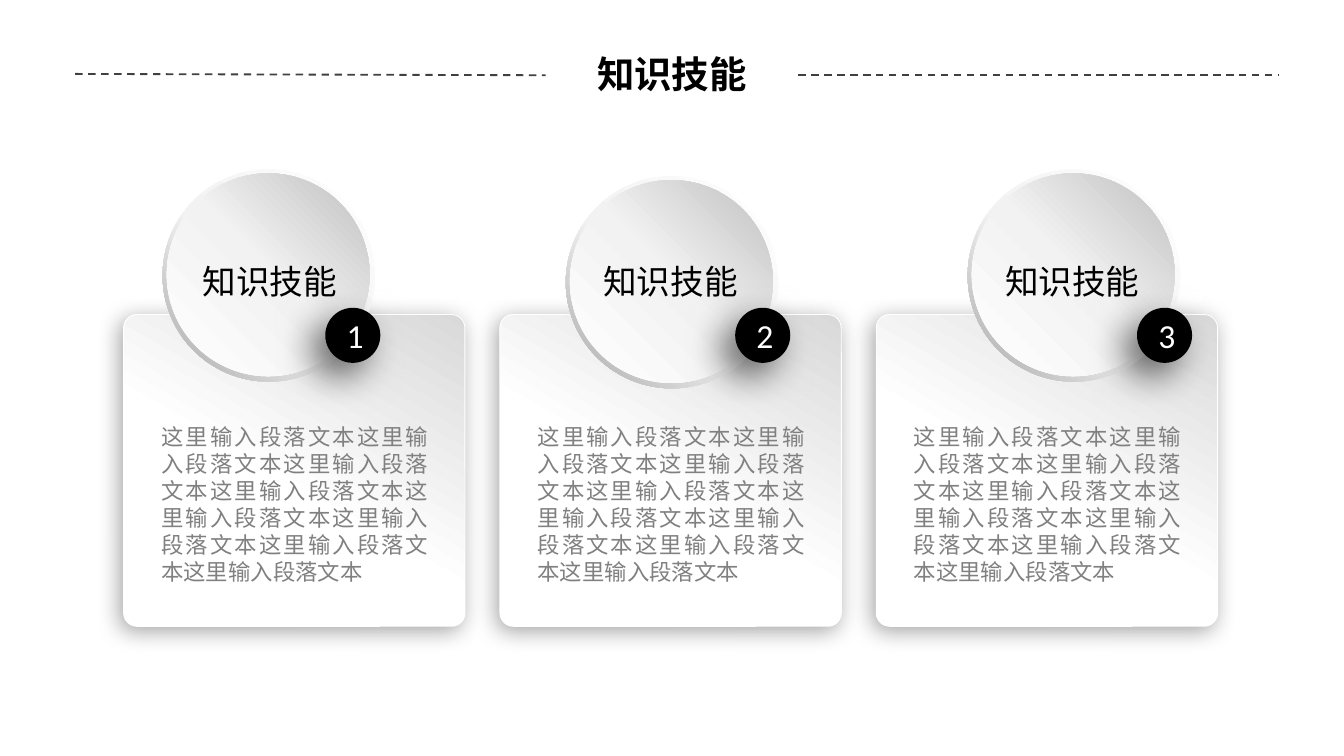
from dataclasses import dataclass

from lxml import etree
from pptx import Presentation
from pptx.dml.color import RGBColor
from pptx.enum.dml import MSO_LINE
from pptx.enum.shapes import MSO_CONNECTOR, MSO_SHAPE
from pptx.enum.text import MSO_ANCHOR as Anchor, PP_ALIGN as Align
from pptx.oxml.ns import qn
from pptx.util import Inches, Pt

COLORS = {
    "black": "000000",
    "white": "FFFFFF",
    "rule": "404040",
    "body": "808080",
    "pale": "F2F2F2",
    "card_edge": "D9D9D9",
    "disc_edge": "BFBFBF",
    "ring_edge": "A6A6A6",
}
CJK_FONT = "Noto Sans CJK SC"
HEADING = "知识技能"
BODY = "这里输入段落文本" * 8
CARD_LEFT, CARD_STEP = 0.92, 2.8


@dataclass
class Topic:
    number: str
    ring_left: float
    ring_top: float
    label_left: float
    badge_left: float


TOPICS = [
    Topic("1", 1.21, 1.26, 1.41, 2.42),
    Topic("2", 4.21, 1.31, 4.39, 5.47),
    Topic("3", 7.2, 1.26, 7.38, 8.46),
]


def rgb(name):
    return RGBColor.from_string(COLORS[name])


def write_text(shape, text, size, color, font=CJK_FONT, bold=False, align=Align.LEFT,
               anchor=Anchor.MIDDLE, wrap=True, insets=(0.1, 0), line_spacing=None):
    frame = shape.text_frame
    frame.word_wrap = wrap
    frame.vertical_anchor = anchor
    frame.margin_left = frame.margin_right = Inches(insets[0])
    frame.margin_top = frame.margin_bottom = Inches(insets[1])
    paragraph = frame.paragraphs[0]
    paragraph.alignment = align
    if line_spacing:
        paragraph.line_spacing = Pt(line_spacing)
    run = paragraph.add_run()
    run.text = text
    run.font.size = Pt(size)
    run.font.bold = bold
    run.font.name = font
    run.font.color.rgb = rgb(color)
    east_asian = etree.SubElement(run.font._element, qn("a:ea"))
    east_asian.set("typeface", font)


def add_text(slide, box, text, **text_format):
    write_text(slide.shapes.add_textbox(*map(Inches, box)), text, **text_format)


def add_plain_shape(shapes, kind, box):
    """Add a preset shape with neither outline nor shadow."""
    shape = shapes.add_shape(kind, *map(Inches, box))
    shape.shadow.inherit = False
    shape.line.fill.background()
    return shape


def fill_gradient(shape, stops, clockwise_angle):
    shape.fill.gradient()
    shape.fill.gradient_angle = 360 - clockwise_angle
    stop_list = shape._element.spPr.find(qn("a:gradFill")).find(qn("a:gsLst"))
    for default_stop in list(stop_list):
        stop_list.remove(default_stop)
    for percent, color in stops:
        stop = etree.SubElement(stop_list, qn("a:gs"), pos=str(percent * 1000))
        etree.SubElement(stop, qn("a:srgbClr"), val=COLORS[color])


def cast_shadow(shape, opacity, blur, distance):
    """Cast a black shadow towards the lower left."""
    effects = shape._element.spPr.find(qn("a:effectLst"))
    shadow = etree.SubElement(
        effects, qn("a:outerShdw"), blurRad=str(Pt(blur)), dist=str(Pt(distance)),
        dir=str(135 * 60000), algn="ctr", rotWithShape="0")
    color = etree.SubElement(shadow, qn("a:srgbClr"), val=COLORS["black"])
    etree.SubElement(color, qn("a:alpha"), val=str(opacity * 1000))


def add_dashed_rule(slide, start, end):
    rule = slide.shapes.add_connector(MSO_CONNECTOR.STRAIGHT, *map(Inches, start + end))
    rule.line.color.rgb = rgb("rule")
    rule.line.width = Pt(1)
    rule.line.dash_style = MSO_LINE.DASH
    etree.SubElement(rule._element.spPr, qn("a:effectLst"))


def add_card(slide, left):
    card = add_plain_shape(slide.shapes, MSO_SHAPE.ROUNDED_RECTANGLE, (left, 2.34, 2.54, 2.32))
    card.adjustments[0] = 0.043
    fill_gradient(card, [(45, "white"), (100, "card_edge")], 300)
    card.line.color.rgb = rgb("white")
    card.line.width = Pt(0.5)
    cast_shadow(card, opacity=34, blur=12, distance=3)
    add_text(slide, (left + 0.21, 3.11, 2.13, 1.29), BODY, size=12, color="body",
             align=Align.JUSTIFY, anchor=Anchor.TOP, insets=(0.07, 0.04), line_spacing=14.4)


def add_medallion(slide, left, top):
    """Add a grouped ring and inner disc."""
    shapes = slide.shapes.add_group_shape().shapes
    ring = add_plain_shape(shapes, MSO_SHAPE.DONUT, (left, top, 1.58, 1.58))
    ring.adjustments[0] = 0.049
    fill_gradient(ring, [(0, "white"), (55, "pale"), (100, "ring_edge")], 135)
    disc = add_plain_shape(shapes, MSO_SHAPE.OVAL, (left + 0.03, top + 0.03, 1.51, 1.51))
    fill_gradient(disc, [(0, "white"), (51, "pale"), (100, "disc_edge")], 315)


def add_badge(slide, left, number):
    badge = add_plain_shape(slide.shapes, MSO_SHAPE.OVAL, (left, 2.29, 0.41, 0.41))
    badge.fill.solid()
    badge.fill.fore_color.rgb = rgb("black")
    cast_shadow(badge, opacity=60, blur=20, distance=10)
    write_text(badge, number, size=18, color="white", font="Calibri",
               align=Align.CENTER, insets=(0.1, 0.05))


def main():
    deck = Presentation()
    deck.slide_width = Inches(10)
    deck.slide_height = deck.slide_width * 9 // 16
    slide = deck.slides.add_slide(deck.slide_layouts[6])

    add_dashed_rule(slide, (0.56, 0.55), (4.06, 0.56))
    add_dashed_rule(slide, (5.94, 0.56), (9.52, 0.56))
    add_text(slide, (0.5, 0.41, 9, 0.28), HEADING, size=20, color="black",
             bold=True, align=Align.CENTER)

    for column in range(len(TOPICS)):
        add_card(slide, CARD_LEFT + column * CARD_STEP)
    for topic in TOPICS:
        add_medallion(slide, topic.ring_left, topic.ring_top)
        add_badge(slide, topic.badge_left, topic.number)
        add_text(slide, (topic.label_left, 1.89, 1.21, 0.4), HEADING, size=18,
                 color="black", wrap=False)

    deck.save("out.pptx")


if __name__ == "__main__":
    main()
